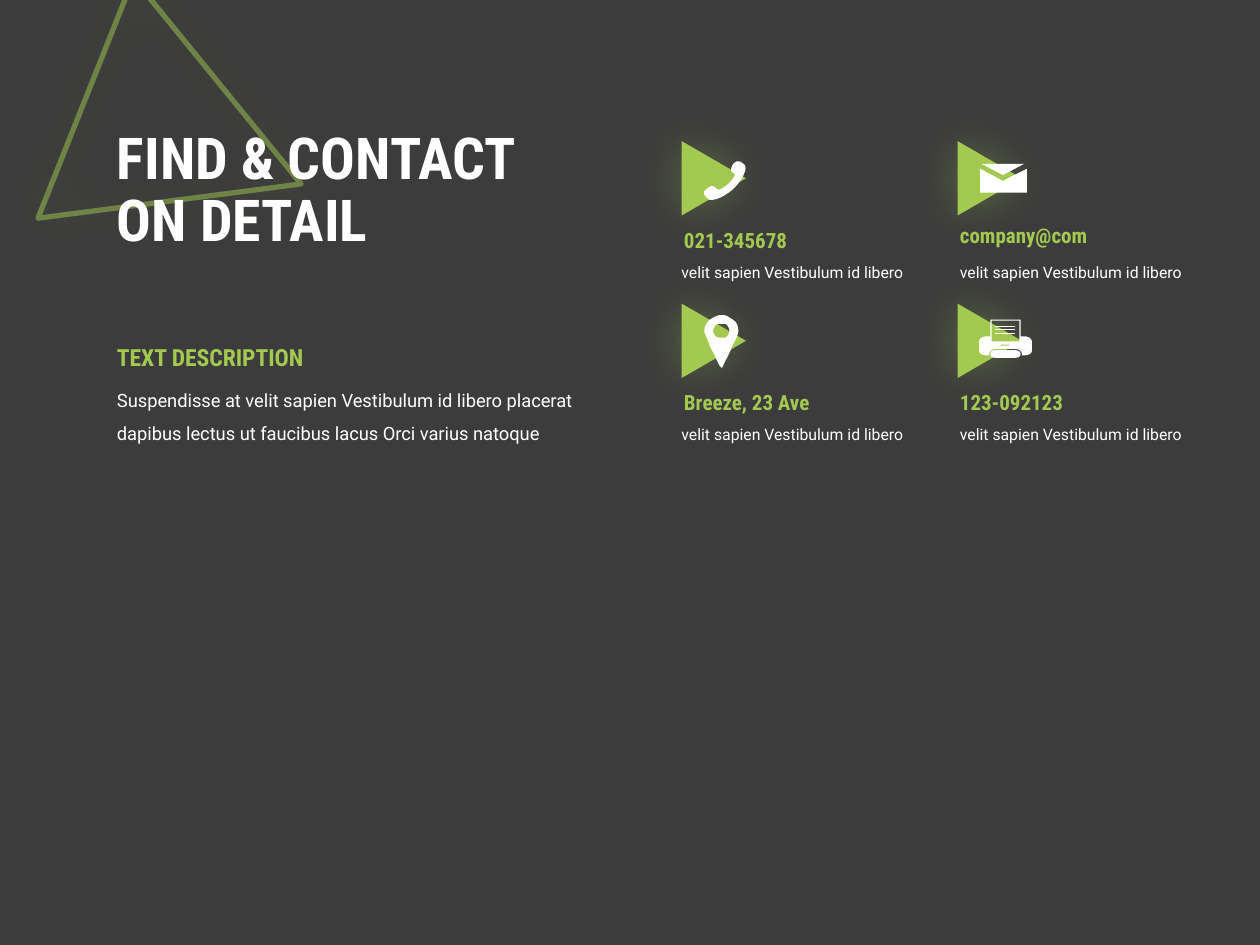
from lxml import etree
from pptx import Presentation
from pptx.dml.color import RGBColor
from pptx.enum.shapes import MSO_SHAPE
from pptx.enum.text import MSO_ANCHOR
from pptx.oxml.ns import qn
from pptx.util import Inches, Pt

TRIANGLE = MSO_SHAPE.ISOSCELES_TRIANGLE
MIDDLE, TOP = MSO_ANCHOR.MIDDLE, MSO_ANCHOR.TOP
DARK, GREEN, WHITE = "3C3C3C", "A3C951", "FFFFFF"
HEADING_FONT, BODY_FONT = "Roboto Condensed", "Roboto"


def box(left, top, right, bottom):
    return [(left, top), (right, top), (right, bottom), (left, bottom)]


# Icons: each outline is a list of contours, in hundredths of an inch from
# the marker's corner. Two numbers are a corner, six are a Bézier curve.
PHONE = [[[
    (46, 22), (43, 20, 42, 19, 45, 14), (49, 10, 52, 13, 54, 15),
    (56, 17, 54, 25, 45, 34), (36, 42, 27, 44, 25, 42),
    (23, 40, 19, 37, 24, 34), (28, 30, 30, 32, 32, 34),
    (33, 36, 37, 33, 41, 30), (44, 27, 47, 23, 46, 22),
]]]
ENVELOPE = [[
    [(41, 27), (59, 18), (59, 37), (22, 37), (22, 18), (39, 27), (40, 28)],
    [(57, 14), (40, 23), (23, 14)],
]]
PIN = [[
    [(26, 9), (29, 7, 32, 5, 36, 5), (40, 5, 42, 7, 45, 9),
     (48, 11, 49, 14, 49, 18), (49, 19, 48, 23, 45, 28),
     (43, 33, 41, 37, 39, 41), (36, 47), (34, 45), (31, 39),
     (30, 36, 28, 33, 27, 31), (26, 28, 25, 26, 24, 23),
     (23, 21, 22, 19, 22, 18), (22, 14, 24, 11, 26, 9)],
    [(31, 22), (33, 23, 34, 23, 36, 23), (38, 23, 39, 23, 40, 22),
     (41, 21, 42, 19, 42, 18), (42, 16, 41, 14, 40, 13),
     (39, 12, 38, 12, 36, 12), (34, 12, 33, 12, 31, 13),
     (30, 14, 29, 16, 29, 18), (29, 19, 30, 21, 31, 22)],
]]
PRINTER_TRAY = [[
    (50, 33), (34, 33), (31, 33, 30, 34, 30, 36), (30, 38, 31, 39, 34, 39),
    (50, 39), (52, 39, 54, 38, 54, 36), (54, 34, 52, 33, 50, 33),
]]
PRINTER_BODY = [
    [(57, 22), (54, 22), (54, 8.7), (30, 8.7), (30, 22), (27, 22),
     (23, 22, 21, 24, 21, 27), (21, 33), (21, 35, 23, 37, 27, 37),
     (29, 37), (29, 36), (29, 34, 31, 32, 34, 32), (50, 32),
     (53, 32, 55, 34, 55, 36), (55, 37), (57, 37),
     (61, 37, 63, 35, 63, 33), (63, 27), (63, 24, 61, 22, 57, 22)],
    box(31, 9.5, 53, 26),
    box(38, 28.6, 45, 29.3),
]
PAGE_LINES = [[box(34, y, 50, y + 0.8)] for y in (13.6, 16.3, 19)]
PRINTER = [PRINTER_TRAY, PRINTER_BODY, *PAGE_LINES]

# Contacts: column, row, label, label offset below the marker, icon
DETAIL = "velit sapien Vestibulum id libero"
CONTACTS = [
    (0, 0, "021-345678", 0.6, PHONE),
    (1, 0, "company@com", 0.56, ENVELOPE),
    (0, 1, "Breeze, 23 Ave", 0.59, PIN),
    (1, 1, "123-092123", 0.59, PRINTER),
]
GRID_LEFT, GRID_TOP, COLUMN_STEP, ROW_STEP = 5.37, 1.16, 2.19, 1.29
DETAIL_LEFTS = (5.31, 7.52)

# Left column: text, place, size, font, colour, bold, line spacing, anchor
LEFT = 0.83
LEFT_TEXTS = [
    ("FIND & CONTACT\vON DETAIL", (LEFT, 0.73, 4.22, 1.58),
     33, HEADING_FONT, WHITE, True, 0.9, MIDDLE),
    ("Suspendisse at velit sapien Vestibulum id libero placerat "
     "dapibus lectus ut faucibus lacus Orci varius natoque",
     (LEFT, 2.95, 3.85, 0.6), 10.5, BODY_FONT, WHITE, False, 1.5, TOP),
    ("TEXT DESCRIPTION", (LEFT, 2.67, 1.84, 0.33),
     13.5, HEADING_FONT, GREEN, True, 1.0, TOP),
]


def color(hex_string):
    return RGBColor.from_string(hex_string)


def add_text(text, place, size, font, hue, bold=False, spacing=1.0, anchor=TOP):
    frame = slide.shapes.add_textbox(*map(Inches, place)).text_frame
    frame.word_wrap = True
    frame.vertical_anchor = anchor
    frame.text = text
    paragraph = frame.paragraphs[0]
    paragraph.line_spacing = spacing
    for run in paragraph.runs:
        run.font.size = Pt(size)
        run.font.name = font
        run.font.bold = bold
        run.font.color.rgb = color(hue)


def add_alpha(color_element, percent):
    etree.SubElement(color_element, qn("a:alpha"), val=str(percent * 1000))


def add_triangle(place, rotation):
    """Add a rotated triangle with a soft green glow-like shadow."""
    triangle = slide.shapes.add_shape(TRIANGLE, *map(Inches, place))
    triangle.rotation = rotation
    triangle.shadow.inherit = False
    effects = triangle._element.spPr.find(qn("a:effectLst"))
    shadow = etree.SubElement(effects, qn("a:outerShdw"), blurRad=str(Pt(25)),
                              dist="0", dir="0", algn="ctr", rotWithShape="0")
    add_alpha(etree.SubElement(shadow, qn("a:srgbClr"), val=GREEN), 35)
    return triangle


def contour_points(contour, steps=8):
    points = [contour[0]]
    for segment in contour[1:]:
        if len(segment) == 2:
            points.append(segment)
            continue
        curve = (points[-1], segment[:2], segment[2:4], segment[4:])
        for step in range(1, steps + 1):
            t = step / steps
            weights = ((1 - t) ** 3, 3 * t * (1 - t) ** 2,
                       3 * t ** 2 * (1 - t), t ** 3)
            points.append(tuple(sum(w * p[axis] for w, p in zip(weights, curve))
                                for axis in (0, 1)))
    return points


def add_outline(shapes, contours, left, top):
    builder = None
    for contour in contours:
        start, *rest = [(Inches(left + x / 100), Inches(top + y / 100))
                        for x, y in contour_points(contour)]
        if builder is None:
            builder = shapes.build_freeform(*start, scale=1.0)
        else:
            builder.move_to(*start)
        builder.add_line_segments(rest, close=True)
    outline = builder.convert_to_shape()
    outline.shadow.inherit = False
    outline.fill.solid()
    outline.fill.fore_color.rgb = color(WHITE)
    outline.line.fill.background()


prs = Presentation()
prs.slide_width, prs.slide_height = Inches(10), Inches(7.5)
slide = prs.slides.add_slide(prs.slide_layouts[6])
slide.background.fill.solid()
slide.background.fill.fore_color.rgb = color(DARK)

# Large outlined triangle behind the title
decoration = add_triangle((0.51, 0.2, 2.05, 1.84), 111.7)
decoration.fill.background()
decoration.line.width = Pt(3)
decoration.line.color.rgb = color(GREEN)
add_alpha(decoration.line._ln.find(".//" + qn("a:srgbClr")), 50)

# Title and description
for left_text in LEFT_TEXTS:
    add_text(*left_text)

# Contact grid: marker, icon, label and detail
for column, row, label, label_offset, icon in CONTACTS:
    left = GRID_LEFT + column * COLUMN_STEP
    top = GRID_TOP + row * ROW_STEP
    marker = add_triangle((left, top, 0.59, 0.51), 90)
    marker.fill.solid()
    marker.fill.fore_color.rgb = color(GREEN)
    marker.line.fill.background()
    shapes = slide.shapes
    if len(icon) > 1:
        shapes = slide.shapes.add_group_shape().shapes
    for contours in icon:
        add_outline(shapes, contours, left, top)
    add_text(label, (left - 0.04, top + label_offset, 1.45, 0.3),
             12, HEADING_FONT, GREEN, bold=True)
    add_text(DETAIL, (DETAIL_LEFTS[column], top + 0.8, 1.99, 0.3),
             9, BODY_FONT, WHITE, spacing=1.5)

prs.save("out.pptx")
